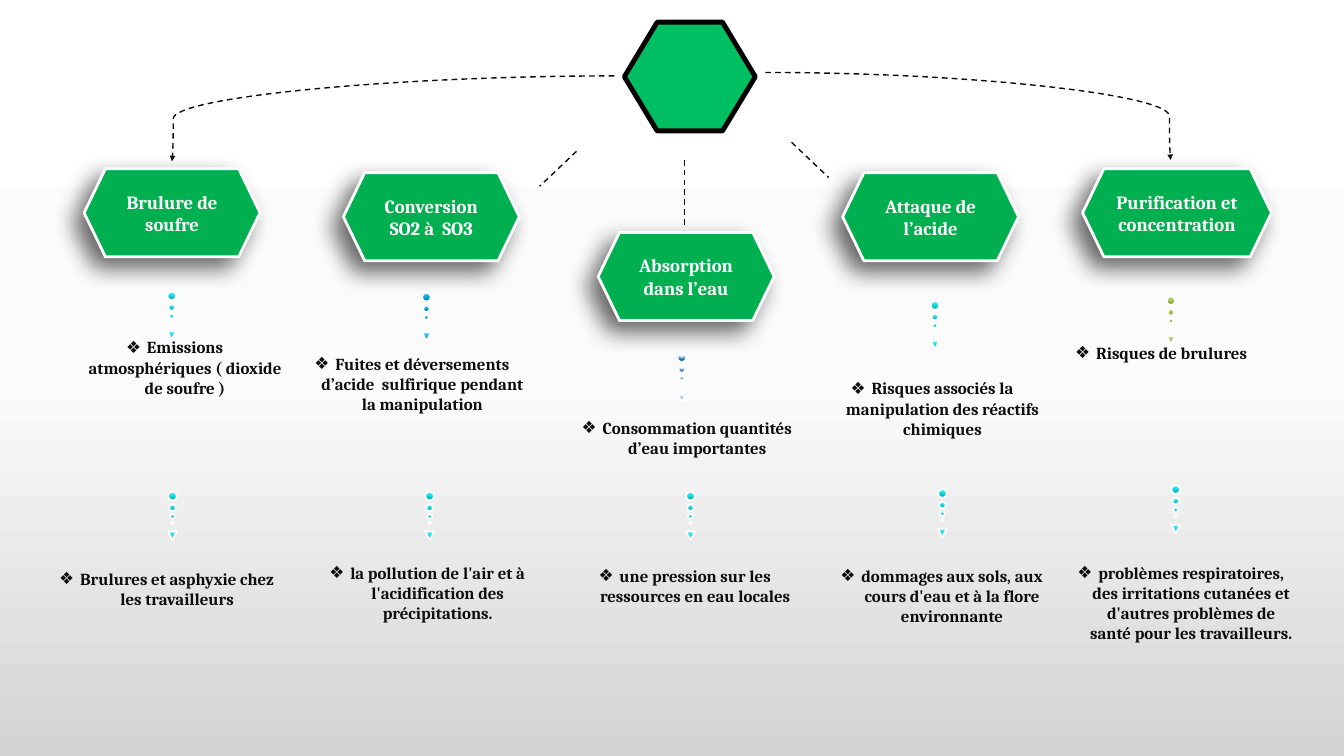
from lxml import etree
from pptx import Presentation
from pptx.dml.color import RGBColor
from pptx.enum.dml import MSO_LINE
from pptx.enum.shapes import MSO_CONNECTOR, MSO_SHAPE
from pptx.enum.text import MSO_ANCHOR, MSO_AUTO_SIZE, PP_ALIGN
from pptx.oxml import parse_xml
from pptx.oxml.ns import nsdecls, qn
from pptx.util import Cm, Pt

RECTANGLE, HEXAGON = MSO_SHAPE.RECTANGLE, MSO_SHAPE.HEXAGON
DOT, TRIANGLE = MSO_SHAPE.FLOWCHART_CONNECTOR, MSO_SHAPE.FLOWCHART_MERGE
STRAIGHT, CURVE = MSO_CONNECTOR.STRAIGHT, MSO_CONNECTOR.CURVE
DASH = MSO_LINE.DASH
CENTER, MIDDLE = PP_ALIGN.CENTER, MSO_ANCHOR.MIDDLE
FIT_TEXT = MSO_AUTO_SIZE.SHAPE_TO_FIT_TEXT

FONT = "Cambria"
WHITE, INK, GREEN = "FFFFFF", "0D0D0D", "00B050"
DOWNWARD = '<a:lin ang="5400000" scaled="0"/>'
UPWARD = '<a:lin ang="16200000" scaled="0"/>'
RADIAL = ('<a:path path="circle">'
          '<a:fillToRect l="50000" t="-80000" r="50000" b="180000"/></a:path>')

# Gradients: (position in percent, colour) stops and direction
GREY = ([(0, "FFFFFF"), (50, "FBFBFB"), (100, "D1D1D1")], DOWNWARD)
TEAL = ([(0, "078B91"), (48, "0BD8E1"), (100, "5EF0F7")], UPWARD)
BLUE = ([(0, "006991"), (48, "00A3E2"), (100, "4FCEFF")], UPWARD)
OLIVE = ([(0, "71862D"), (48, "A8C44E"), (100, "C9DA92")], UPWARD)
PALE = ([(0, "FFFFFF"), (35, "FFFFFF"), (100, "0F6FC6")], RADIAL)

# Parts of a dotted arrow: shape, size, distance from its top
ARROW_PARTS = [(DOT, 0.33, 0), (DOT, 0.25, 0.48), (DOT, 0.18, 0.84),
               (DOT, 0.08, 1.14), (TRIANGLE, 0.33, 1.5)]

# Process steps: title, left, top, width
STEPS = [
    ("Brulure de soufre", 3.18, 6.38, 6.65),
    ("Conversion SO2 à  SO3", 12.98, 6.53, 6.65),
    ("Absorption dans l’eau", 22.61, 8.79, 6.65),
    ("Attaque de l’acide", 31.85, 6.53, 6.65),
    ("Purification et concentration", 40.92, 6.38, 7.14),
]

# Dotted arrows: centre, top, gradient
ARROWS = [
    (6.49, 11.02, TEAL), (16.12, 11.07, BLUE), (25.77, 13.36, PALE),
    (35.34, 11.38, TEAL), (44.26, 11.2, OLIVE),
    (6.52, 18.59, TEAL), (16.24, 18.59, TEAL), (26.1, 18.59, TEAL),
    (35.62, 18.49, TEAL), (44.44, 18.34, TEAL),
]

# Risks, then their effects: text, left, top, number of lines
NOTES = [
    ("Emissions atmosphériques ( dioxide de soufre )", 2.13, 12.62, 3),
    ("Fuites et déversements d’acide  sulfirique pendant la manipulation",
     11.1, 13.23, 3),
    ("Consommation quantités d’eau importantes", 21.49, 15.67, 2),
    ("Risques associés la manipulation des réactifs chimiques",
     30.76, 14.17, 3),
    ("Risques de brulures", 39.42, 12.83, 1),
    ("Brulures et asphyxie chez les travailleurs", 1.83, 21.36, 2),
    ("la pollution de l'air et à l'acidification des précipitations.",
     11.68, 21.13, 3),
    ("une pression sur les ressources en eau locales", 21.41, 21.26, 2),
    ("dommages aux sols, aux cours d'eau et à la flore environnante",
     31.12, 21.26, 3),
    ("problèmes respiratoires, des irritations cutanées et d'autres "
     "problèmes de santé pour les travailleurs.", 40.16, 21.13, 5),
]

# Branches from the hub: kind, start x, start y, end x, end y
BRANCHES = [
    (STRAIGHT, 25.88, 6.05, 25.88, 8.53),
    (STRAIGHT, 21.79, 5.72, 20.4, 7.04),
    (STRAIGHT, 29.92, 5.38, 31.32, 6.71),
    (CURVE, 23.22, 2.87, 6.5, 6.1),
    (CURVE, 28.93, 2.74, 44.25, 6.05),
]


def color(value):
    return RGBColor.from_string(value)


def set_line(shape, value, width):
    shape.line.color.rgb = color(value)
    shape.line.width = Pt(width)


def set_gradient(shape, gradient):
    stops, direction = gradient
    stop_list = "".join(
        f'<a:gs pos="{position * 1000}"><a:srgbClr val="{value}"/></a:gs>'
        for position, value in stops)
    shape._element.spPr.insert(2, parse_xml(
        f'<a:gradFill {nsdecls("a")} rotWithShape="1">'
        f'<a:gsLst>{stop_list}</a:gsLst>{direction}</a:gradFill>'))


def add_gradient_shape(slide, kind, left, top, width, height, gradient):
    shape = slide.shapes.add_shape(kind, Cm(left), Cm(top), Cm(width), Cm(height))
    shape.shadow.inherit = False
    set_gradient(shape, gradient)
    return shape


def set_text(shape, text, size, value):
    frame = shape.text_frame
    frame.word_wrap = True
    frame.text = text
    paragraph = frame.paragraphs[0]
    paragraph.alignment = CENTER
    font = paragraph.runs[0].font
    font.name, font.size, font.bold = FONT, Pt(size), True
    font.color.rgb = color(value)
    return paragraph


def add_hub(slide):
    points = [(28.55, 2.9), (27.31, 4.95), (24.84, 4.95),
              (23.6, 2.9), (24.84, 0.84), (27.31, 0.84)]
    corners = [(Cm(x), Cm(y)) for x, y in points]
    builder = slide.shapes.build_freeform(*corners[0])
    builder.add_line_segments(corners[1:], close=True)
    hub = builder.convert_to_shape()
    hub.shadow.inherit = False
    hub.fill.solid()
    hub.fill.fore_color.rgb = color("00BF63")
    set_line(hub, "000000", 5.25)


def add_step(slide, title, left, top, width):
    step = slide.shapes.add_shape(HEXAGON, Cm(left), Cm(top), Cm(width), Cm(3.33))
    step.adjustments[0] = 0.242
    step.fill.solid()
    step.fill.fore_color.rgb = color(GREEN)
    set_line(step, WHITE, 3)
    step.shadow.inherit = False
    step._element.spPr.find(qn("a:effectLst")).append(parse_xml(
        f'<a:outerShdw {nsdecls("a")} blurRad="{Pt(25)}" dist="{Pt(15)}" '
        'dir="8100000" rotWithShape="0"><a:srgbClr val="000000">'
        '<a:alpha val="60000"/></a:srgbClr></a:outerShdw>'))
    step.text_frame.vertical_anchor = MIDDLE
    set_text(step, title, 20, WHITE)


def add_dotted_arrow(slide, center, top, gradient):
    for kind, size, offset in ARROW_PARTS:
        part = add_gradient_shape(slide, kind, center - size / 2, top + offset,
                                  size, size, gradient)
        set_line(part, WHITE, 2)


def add_branch(slide, kind, *ends):
    branch = slide.shapes.add_connector(kind, *[Cm(value) for value in ends])
    set_line(branch, INK, 1.5)
    branch.line.dash_style = DASH
    properties = branch._element.spPr
    if kind == CURVE:
        guides = properties.find(qn("a:prstGeom")).get_or_add_avLst()
        etree.SubElement(guides, qn("a:gd"), name="adj1", fmla="val 99700")
        etree.SubElement(properties.find(qn("a:ln")), qn("a:tailEnd"), type="triangle")
    etree.SubElement(properties, qn("a:effectLst"))


def add_note(slide, text, left, top, lines):
    note = slide.shapes.add_textbox(Cm(left), Cm(top), Cm(8.94), Cm(0.25 + 0.77 * lines))
    note.text_frame.auto_size = FIT_TEXT
    properties = set_text(note, text, 18, INK)._p.get_or_add_pPr()
    properties.set("marL", str(Cm(0.79)))
    properties.set("indent", str(-Cm(0.79)))
    etree.SubElement(properties, qn("a:buFont"), typeface="Arial")
    etree.SubElement(properties, qn("a:buChar"), char="❖")


def main():
    presentation = Presentation()
    presentation.slide_width, presentation.slide_height = Cm(50.8), Cm(28.58)
    slide = presentation.slides.add_slide(presentation.slide_layouts[6])

    # Background
    backdrop = add_gradient_shape(slide, RECTANGLE, -0.3, -0.33, 52.17, 29.64, GREY)
    backdrop.line.fill.background()

    # Hub and its branches
    add_hub(slide)
    for branch in BRANCHES:
        add_branch(slide, *branch)

    # Steps with their risks and effects
    for arrow in ARROWS:
        add_dotted_arrow(slide, *arrow)
    for step in STEPS:
        add_step(slide, *step)
    for note in NOTES:
        add_note(slide, *note)

    presentation.save("out.pptx")


if __name__ == "__main__":
    main()
